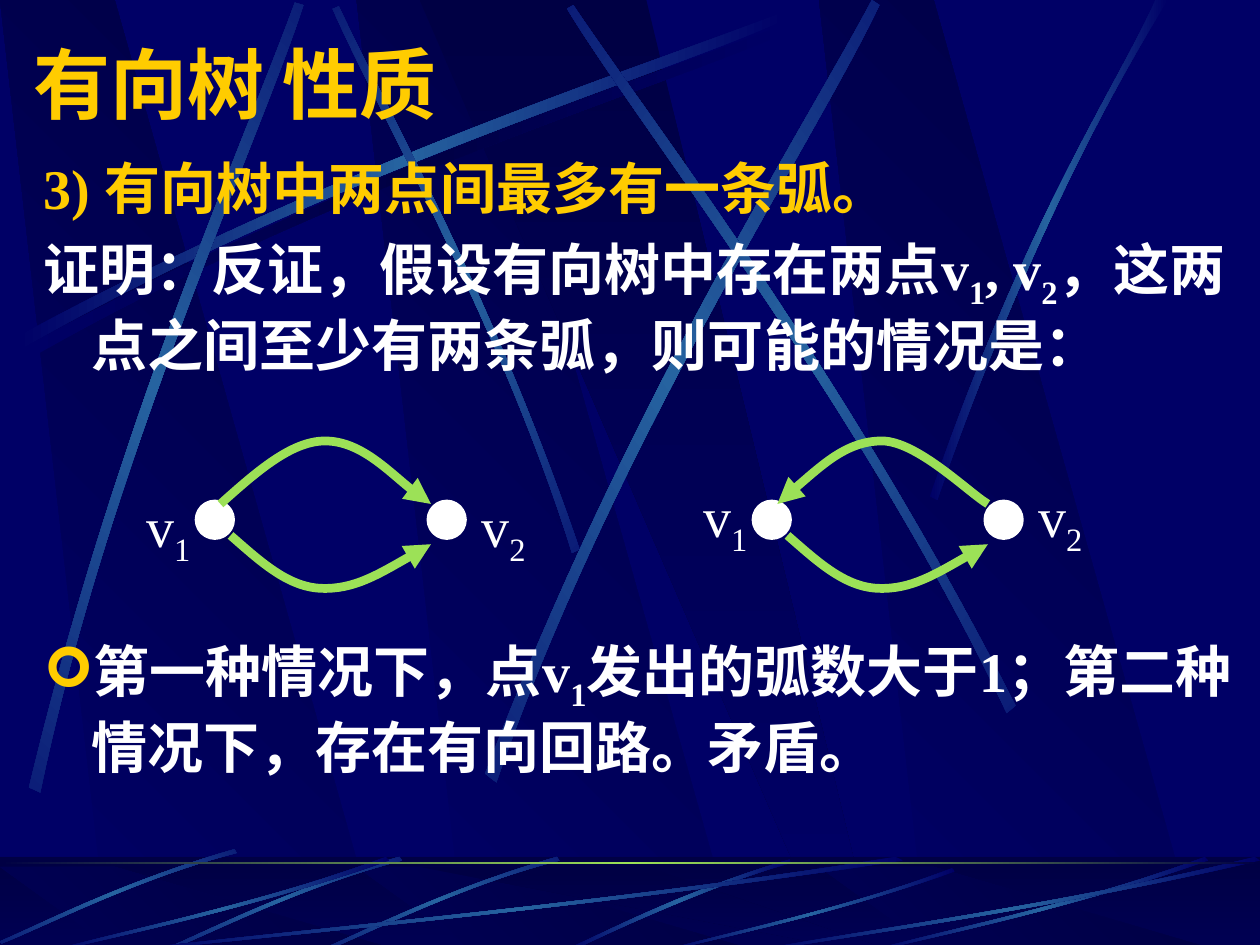
"""Build the slide on the properties of directed trees."""
from math import cos, radians, sin

from pptx import Presentation
from pptx.dml.color import RGBColor
from pptx.enum.shapes import MSO_SHAPE as Shape
from pptx.enum.text import MSO_ANCHOR as Anchor, PP_ALIGN as Align
from pptx.oxml import parse_xml
from pptx.oxml.ns import nsdecls, qn
from pptx.util import Inches, Pt

THEME = {
    "night": "000066", "dark": "000044", "beam": "2663A0",
    "gold": "FFCC00", "white": "FFFFFF", "green": "9CE157",
    "latin": "Times New Roman", "asian": "Noto Sans CJK SC", "symbol": "Wingdings",
    "title": 44, "body": 32, "stroke": 5,
}
WIDTH, HEIGHT, FLOOR = 10, 7.5, 6.8

TITLE = [("有向树 性质", False)]
CLAIM = [("3) 有向树中两点间最多有一条弧。", False)]
PROOF = [("证明：反证，假设有向树中存在两点v", False), ("1", True), (", v", False), ("2", True),
         ("，这两点之间至少有两条弧，则可能的情况是：", False)]
CONCLUSION = [("第一种情况下，点v", False), ("1", True),
              ("发出的弧数大于1；第二种情况下，存在有向回路。矛盾。", False)]

PANEL_LEFTS = (0, 2.83, 6.5)
PANEL = ((0.86, 1), (3.02, 1), (0.91, 0), (0, 0))
CENTRE_PANEL = ((3.33, 0), (6.58, 1), (6.94, 1), (5.13, 0))
LONG_BEAM = [((0.14, 2.67), (2.78, 1.25), (5.18, 0.51), (6.2, 0.1)),
             ((6.23, 0.16), (5.22, 0.61), (2.48, 1.43), (0.17, 2.77))]
STEEP_BEAMS = [
    (45, [((4.6, 4.36), (3.91, 2.34), (3.02, 0.77), (2.69, 0.05)),
          ((2.64, 0.07), (2.95, 0.79), (3.98, 2.58), (4.54, 4.39))]),
    (311.7, [((0.23, 6.25), (0.93, 3.34), (1.97, 1.05), (2.34, 0.02)),
             ((2.41, 0.04), (2.07, 1.09), (0.86, 3.68), (0.32, 6.29))]),
    (321.6, [((3.85, 6.14), (4.98, 3.2), (6.38, 1.02), (6.92, 0)),
             ((6.98, 0.04), (6.49, 1.08), (4.86, 3.55), (3.94, 6.21))]),
    (34.8, [((8.06, 5.6), (6.7, 2.93), (5.16, 0.95), (4.55, 0.04)),
            ((4.5, 0.07), (5.07, 1.01), (6.85, 3.25), (7.99, 5.66))]),
]
RIGHT_BEAM = [((7.38, 3.94), (8.14, 1.73), (8.88, 0.66), (9.17, 0)),
              ((9.27, 0), (8.36, 1.45), (7.69, 3.22), (7.44, 3.97))]
FLOOR_BEAM = [((6.27, 6.82), (5.37, 7.09), (4.77, 7.42), (4.48, 7.54)),
              ((4.53, 7.55), (4.9, 7.37), (5.71, 7), (6.28, 6.85))]
SHORT_BEAM = [((1.86, 6.8), (0.99, 7.05), (0.31, 7.4), (0, 7.53)),
              ((0.01, 7.55), (0.32, 7.43), (1.09, 7.03), (1.88, 6.83))]
SHORT_BEAM_MOVES = ((2.56, 0), (1.31, 0), (0, -0.06))
SHORT_BEAM_TURN = 314.9
SWEEP = [((1, 0.04), (0.57, 0.57), (0.17, 0.85), (0.01, 1)),
         ((0, 0.99), (0.17, 0.81), (0.62, 0.5), (0.99, 0))]
SWEEPS = ((1, 6.17, 0.75), (0.42, 2.67, 0.75), (5.27, 2.31, 0.66),
          (6.92, 2.67, 0.75), (6, 4, 0.75))

UPPER_ARC = [((1.75, 4), (2.03, 3.75), (2.31, 3.5), (2.58, 3.5)),
             ((2.58, 3.5), (2.86, 3.5), (3.28, 3.92), (3.42, 4))]
LOWER_ARC = [((1.83, 4.25), (2.06, 4.45), (2.28, 4.66), (2.55, 4.67)),
             ((2.55, 4.67), (2.81, 4.68), (3.11, 4.5), (3.42, 4.32))]
NODE_LEFTS = (1.58, 3.42)
LABELS = ((0.92, "1"), (3.58, "2"))
GRAPHS = ((0, 3.83, "tailEnd"), (4.42, 3.75, "headEnd"))


def rgb(name):
    return RGBColor.from_string(THEME[name])


def move(curves, dx, dy=0, sx=1, sy=1):
    return [[(x * sx + dx, y * sy + dy) for x, y in curve] for curve in curves]


def turn(points, degrees):
    c, s = cos(radians(degrees)), sin(radians(degrees))
    return [(x * c - y * s, x * s + y * c) for x, y in points]


def clear(shape):
    shape.shadow.inherit = False
    shape.fill.background()
    shape.line.fill.background()
    return shape


def add_outline(slide, points, close=True):
    local = [(x * 1000, y * 1000) for x, y in points]
    builder = slide.shapes.build_freeform(*local[0], scale=Inches(1) / 1000)
    builder.add_line_segments(local[1:], close=close)
    return clear(builder.convert_to_shape())


def add_curves(slide, curves, close=True, rotation=0):
    points = [point for curve in curves for point in curve]
    shape = add_outline(slide, turn(points, -rotation), close)
    lines = list(shape._element.iter(qn("a:lnTo")))
    for start in range(0, 4 * len(curves), 4):
        bezier = parse_xml(f'<a:cubicBezTo {nsdecls("a")}/>')
        lines[start].addprevious(bezier)
        for line in lines[start:start + 3]:
            bezier.append(line[0])
            line.getparent().remove(line)
    if rotation:
        centre = (shape.left + shape.width / 2, shape.top + shape.height / 2)
        x, y = turn([centre], rotation)[0]
        shape.left, shape.top = round(x - shape.width / 2), round(y - shape.height / 2)
        shape.rotation = rotation
    return shape


def add_preset(slide, kind, left, top, width, height):
    return clear(slide.shapes.add_shape(kind, *map(Inches, (left, top, width, height))))


def paint_gradient(shape, names, angle=0):
    stops = "".join(
        f'<a:gs pos="{100000 * i // (len(names) - 1)}"><a:srgbClr val="{THEME[name]}"/></a:gs>'
        for i, name in enumerate(names))
    properties = shape._element.spPr
    properties.replace(properties.find(qn("a:noFill")), parse_xml(
        f'<a:gradFill {nsdecls("a")} rotWithShape="1"><a:gsLst>{stops}</a:gsLst>'
        f'<a:lin ang="{angle * 60000}" scaled="0"/></a:gradFill>'))


def add_beam(slide, curves, rotation=0, middle="beam"):
    paint_gradient(add_curves(slide, curves, rotation=rotation), ("night", middle, "night"))


def add_panels(slide, top):
    def place(points, left=0):
        return add_outline(slide, [(left + x, top + y * (HEIGHT - top)) for x, y in points])
    for left in PANEL_LEFTS:
        paint_gradient(place(PANEL, left), ("night", "dark"), 315)
    paint_gradient(place(CENTRE_PANEL), ("dark", "night"), 90)


def add_text(slide, runs, box, size="body", color="white", bold=True, align=Align.LEFT,
             anchor=Anchor.TOP, wrap=True, indent=0, bullet=None):
    frame = slide.shapes.add_textbox(*map(Inches, box)).text_frame
    frame.word_wrap = wrap
    frame.vertical_anchor = anchor
    paragraph = frame.paragraphs[0]
    paragraph.alignment = align
    properties = paragraph._p.get_or_add_pPr()
    if indent:
        properties.set("marL", str(Inches(indent)))
        properties.set("indent", str(-Inches(indent)))
    if bullet:
        for tag in (f'buClr {nsdecls("a")}><a:srgbClr val="{THEME["gold"]}"/></a:buClr>',
                    f'buFont {nsdecls("a")} typeface="{THEME["symbol"]}" charset="2"/>',
                    f'buChar {nsdecls("a")} char="{bullet}"/>'):
            properties.append(parse_xml("<a:" + tag))
    for text, subscript in runs:
        run = paragraph.add_run()
        run.text = text
        run.font.size = Pt(THEME[size])
        run.font.bold = bold
        run.font.color.rgb = rgb(color)
        run.font.name = THEME["latin"]
        run_properties = run._r.get_or_add_rPr()
        run_properties.append(parse_xml(f'<a:ea {nsdecls("a")} typeface="{THEME["asian"]}"/>'))
        if subscript:
            run_properties.set("baseline", "-25000")


def add_background(slide):
    slide.background.fill.solid()
    slide.background.fill.fore_color.rgb = rgb("night")
    add_panels(slide, 0)
    add_beam(slide, move(LONG_BEAM, 0.06, 0.08), middle="dark")
    add_beam(slide, LONG_BEAM)
    for rotation, beam in STEEP_BEAMS:
        add_beam(slide, beam, rotation)
    add_beam(slide, RIGHT_BEAM)
    floor = (0, FLOOR, WIDTH, 0.75)
    paint_gradient(add_preset(slide, Shape.RECTANGLE, *floor), ("dark", "night"), 90)
    add_panels(slide, 6.88)
    veil = add_preset(slide, Shape.RECTANGLE, *floor)
    veil.fill.solid()
    veil.fill.fore_color.rgb = rgb("dark")
    color = veil._element.spPr.find(qn("a:solidFill"))[0]
    color.append(parse_xml(f'<a:alpha {nsdecls("a")} val="50000"/>'))
    add_beam(slide, FLOOR_BEAM)
    for dx, dy in SHORT_BEAM_MOVES:
        add_beam(slide, move(SHORT_BEAM, dx, dy), SHORT_BEAM_TURN)
    for left, width, height in SWEEPS:
        add_beam(slide, move(SWEEP, left, 7.55 - height, width, height))
    paint_gradient(add_preset(slide, Shape.RECTANGLE, 0, 6.84, WIDTH, 0.02), ("dark", "green", "dark"))


def add_graph(slide, shift, label_top, upper_end):
    for left in NODE_LEFTS:
        node = add_preset(slide, Shape.OVAL, left + shift, 4, 0.25, 0.25)
        node.fill.solid()
        node.fill.fore_color.rgb = node.line.color.rgb = rgb("white")
        node.line.width = Pt(THEME["stroke"])
    for curves, end in ((UPPER_ARC, upper_end), (LOWER_ARC, "tailEnd")):
        arc = add_curves(slide, move(curves, shift), close=False)
        arc.line.color.rgb = rgb("green")
        arc.line.width = Pt(THEME["stroke"])
        arc.line._get_or_add_ln().append(parse_xml(f'<a:{end} {nsdecls("a")} type="triangle"/>'))
    for left, number in LABELS:
        add_text(slide, [("v", False), (number, True)], (left + shift, label_top, 0.83, 0.75),
                 bold=False, align=Align.CENTER, anchor=Anchor.MIDDLE, wrap=False)


def main():
    presentation = Presentation()
    presentation.slide_width, presentation.slide_height = Inches(WIDTH), Inches(HEIGHT)
    slide = presentation.slides.add_slide(presentation.slide_layouts[6])
    add_background(slide)
    add_text(slide, TITLE, (0.17, 0.24, 9.67, 0.84), size="title", color="gold", anchor=Anchor.MIDDLE)
    add_text(slide, CLAIM, (0.25, 1.17, 9.58, 0.7), color="gold", indent=0.38)
    add_text(slide, PROOF, (0.25, 1.81, 9.58, 1.3), indent=0.38)
    for graph in GRAPHS:
        add_graph(slide, *graph)
    add_text(slide, CONCLUSION, (0.25, 5, 9.64, 1.3), indent=0.38, bullet="➢")
    presentation.save("out.pptx")


if __name__ == "__main__":
    main()
